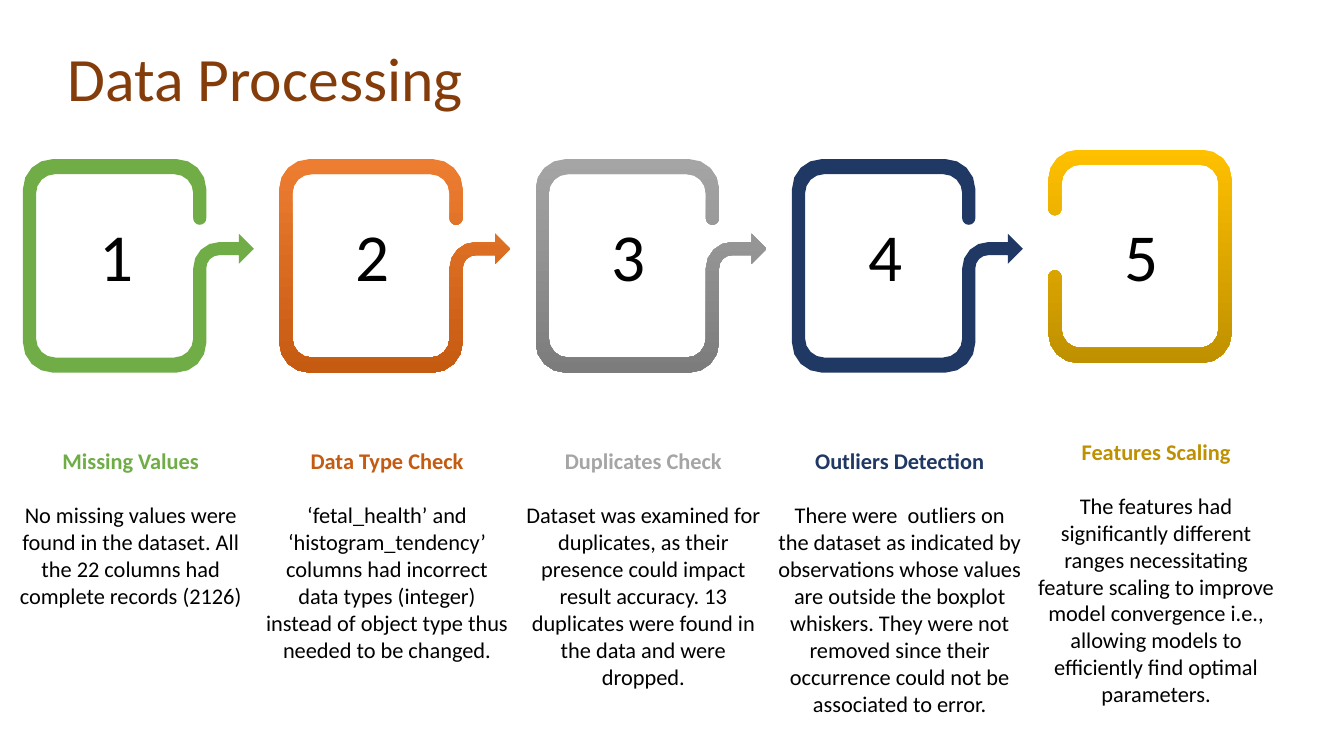
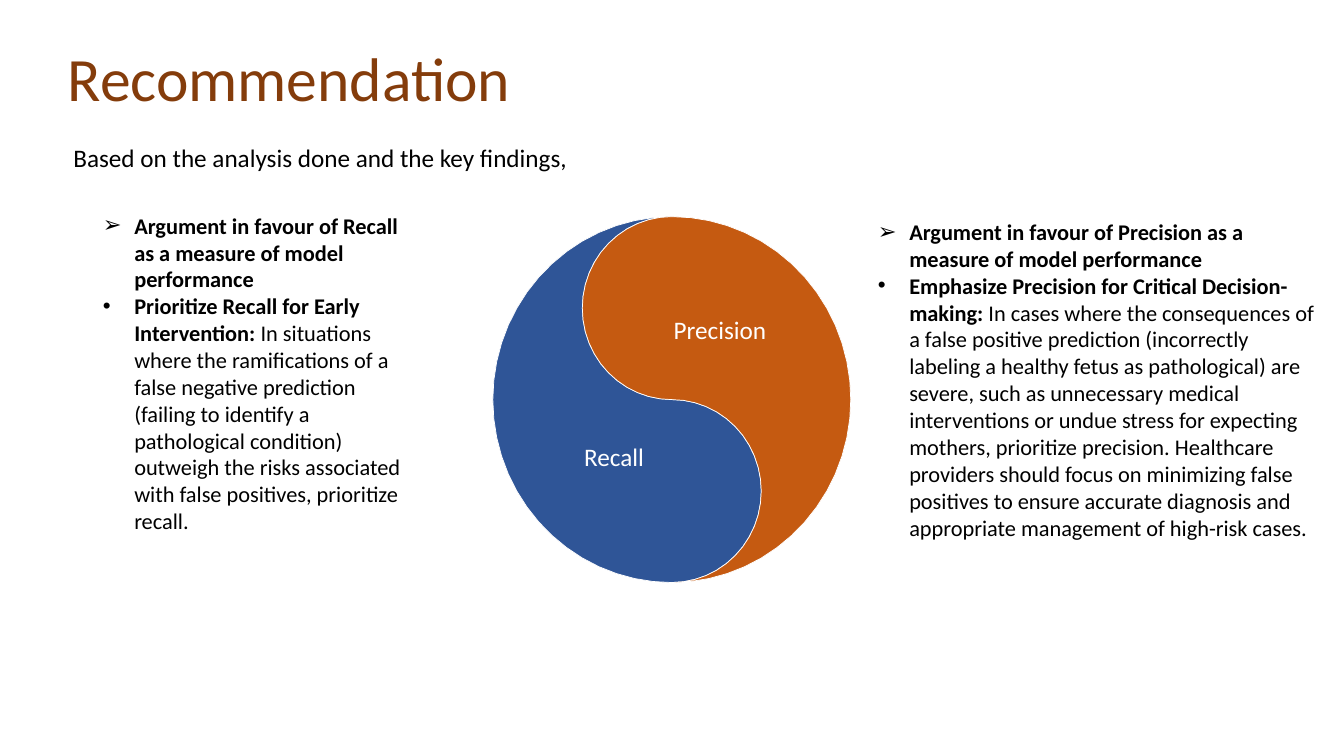
from math import cos, radians, sin

from lxml import etree
from pptx import Presentation
from pptx.dml.color import RGBColor
from pptx.enum import text
from pptx.oxml.ns import qn
from pptx.util import Cm, Pt

FONT = "Calibri"
BLACK = RGBColor(0x00, 0x00, 0x00)
WHITE = RGBColor(0xFF, 0xFF, 0xFF)
BROWN = RGBColor(0x84, 0x3C, 0x0B)
GREEN = RGBColor(0x70, 0xAD, 0x47)
ORANGE = RGBColor(0xED, 0x7D, 0x31)
DARK_ORANGE = RGBColor(0xC5, 0x5A, 0x11)
GRAY = RGBColor(0xA5, 0xA5, 0xA5)
DARK_GRAY = RGBColor(0x7C, 0x7C, 0x7C)
NAVY = RGBColor(0x20, 0x38, 0x64)
BLUE = RGBColor(0x2F, 0x55, 0x97)
GOLD = RGBColor(0xFF, 0xC0, 0x00)
DARK_GOLD = RGBColor(0xBF, 0x90, 0x00)

TITLE_ONLY, TWO_CONTENT = 5, 3

FRAME_WIDTH, FRAME_HEIGHT = 4.62, 5.38
SIDE, EDGE = 0.33, 0.38
OUTER_RADIUS, INNER_RADIUS = 0.75, 0.48
STEP_LEFT, STEP_TOP, STEP_PITCH = 0.58, 4.01, 6.46
LAST_STEP_RISE = 0.24

STEPS = [
    ("Missing Values", GREEN, (GREEN,),
     "No missing values were found in the dataset. All the 22 columns had "
     "complete records (2126)"),
    ("Data Type Check", DARK_ORANGE, (ORANGE, DARK_ORANGE),
     "‘fetal_health’ and ‘histogram_tendency’ columns had incorrect data types "
     "(integer) instead of object type thus needed to be changed."),
    ("Duplicates Check", GRAY, (GRAY, DARK_GRAY),
     "Dataset was examined for duplicates, as their presence could impact "
     "result accuracy. 13 duplicates were found in the data and were dropped."),
    ("Outliers Detection", NAVY, (NAVY,),
     "There were  outliers on the dataset as indicated by observations whose "
     "values are outside the boxplot whiskers. They were not removed since "
     "their occurrence could not be associated to error."),
    ("Features Scaling", DARK_GOLD, (GOLD, DARK_GOLD),
     "The features had significantly different ranges necessitating feature "
     "scaling to improve model convergence i.e., allowing models to "
     "efficiently find optimal parameters."),
]

RECALL_ARGUMENT = (
    "Argument in favour of Recall as a measure of model performance",
    "Prioritize Recall for Early Intervention: ",
    "In situations where the ramifications of a false negative prediction "
    "(failing to identify a pathological condition) outweigh the risks "
    "associated with false positives, prioritize recall.",
)
PRECISION_ARGUMENT = (
    "Argument in favour of Precision as a measure of model performance",
    "Emphasize Precision for Critical Decision-making: ",
    "In cases where the consequences of a false positive prediction "
    "(incorrectly labeling a healthy fetus as pathological) are severe, such "
    "as unnecessary medical interventions or undue stress for expecting "
    "mothers, prioritize precision. Healthcare providers should focus on "
    "minimizing false positives to ensure accurate diagnosis and appropriate "
    "management of high-risk cases.",
)


def style(paragraph, size, color, bold=None, align=text.PP_ALIGN.LEFT):
    paragraph.alignment = align
    font = paragraph.font
    font.name, font.size, font.bold = FONT, Pt(size), bold
    font.color.rgb = color


def place(shape, left, top, width, height):
    shape.left, shape.top = Cm(left), Cm(top)
    shape.width, shape.height = Cm(width), Cm(height)


def add_titled_slide(presentation, layout, title_text, title_width):
    slide = presentation.slides.add_slide(presentation.slide_layouts[layout])
    title = slide.shapes.title
    place(title, 1.45, 0.41, title_width, 3.28)
    frame = title.text_frame
    frame.text = title_text
    frame.vertical_anchor = text.MSO_ANCHOR.MIDDLE
    frame.auto_size = text.MSO_AUTO_SIZE.NONE
    frame.paragraphs[0].line_spacing = 0.9
    style(frame.paragraphs[0], 44, BROWN)
    return slide


def add_text(slide, left, top, width, height, content, size, color,
             align=text.PP_ALIGN.CENTER, side_margin=0.25):
    box = slide.shapes.add_textbox(Cm(left), Cm(top), Cm(width), Cm(height))
    frame = box.text_frame
    frame.word_wrap = True
    frame.margin_left = frame.margin_right = Cm(side_margin)
    frame.text = content
    style(frame.paragraphs[0], size, color, align=align)
    return frame


def arc(center_x, center_y, radius, start, stop, step=22.5):
    count = round(abs(stop - start) / step)
    angles = (radians(start + (stop - start) * i / count) for i in range(count + 1))
    return [(center_x + radius * cos(a), center_y + radius * sin(a)) for a in angles]


def add_outline(slide, left, top, points):
    placed = [(Cm(left + x), Cm(top + y)) for x, y in points]
    builder = slide.shapes.build_freeform(*placed[0])
    builder.add_line_segments(placed[1:], close=True)
    shape = builder.convert_to_shape()
    shape.shadow.inherit = False
    return shape


def frame_points(last):
    right, bottom = FRAME_WIDTH - OUTER_RADIUS, FRAME_HEIGHT - OUTER_RADIUS
    inner_left, inner_top = SIDE + INNER_RADIUS, EDGE + INNER_RADIUS
    inner_right, inner_bottom = FRAME_WIDTH - inner_left, FRAME_HEIGHT - inner_top
    bar_center = FRAME_WIDTH - SIDE / 2
    if last:
        opening = arc(bar_center, 3.21, SIDE / 2, 180, 360)
    else:
        bend_x, bend_y = FRAME_WIDTH + SIDE, 2.75
        opening = (
            arc(bend_x, bend_y, 2 * SIDE, 180, 270)
            + [(5.44, 2.09), (5.44, 1.88), (5.82, 2.26), (5.44, 2.64), (5.44, 2.42)]
            + arc(bend_x, bend_y, SIDE, 270, 180)
        )
    points = (
        arc(OUTER_RADIUS, OUTER_RADIUS, OUTER_RADIUS, 180, 270)
        + arc(right, OUTER_RADIUS, OUTER_RADIUS, 270, 360)
        + arc(bar_center, 1.49, SIDE / 2, 0, 180)
        + arc(inner_right, inner_top, INNER_RADIUS, 0, -90)
        + arc(inner_left, inner_top, INNER_RADIUS, 270, 180)
        + arc(inner_left, inner_bottom, INNER_RADIUS, 180, 90)
        + arc(inner_right, inner_bottom, INNER_RADIUS, 90, 0)
        + opening
        + arc(right, bottom, OUTER_RADIUS, 0, 90)
        + arc(OUTER_RADIUS, bottom, OUTER_RADIUS, 90, 180)
    )
    return [(FRAME_WIDTH - x, y) for x, y in points] if last else points


def add_step(slide, left, top, number, step, last):
    heading, heading_color, fill_colors, body = step
    rise = LAST_STEP_RISE if last else 0
    shape = add_outline(slide, left, top - rise, frame_points(last))
    shape.line.fill.background()
    if len(fill_colors) == 1:
        shape.fill.solid()
        shape.fill.fore_color.rgb = fill_colors[0]
    else:
        shape.fill.gradient()
        shape.fill.gradient_angle = 270
        for stop, color in zip(shape.fill.gradient_stops, fill_colors):
            stop.color.rgb = color

    number_frame = add_text(slide, left + 1.8, top + 1.37, 1.1, 2.06,
                            str(number), 48, BLACK, side_margin=0)
    number_frame.margin_top = number_frame.margin_bottom = 0
    number_frame.vertical_anchor = text.MSO_ANCHOR.MIDDLE

    frame = add_text(slide, left - 0.36, top + 7.14 - rise, 6.15, 7.08,
                     heading, 16, heading_color, side_margin=0)
    frame.paragraphs[0].font.bold = True
    paragraph = frame.add_paragraph()
    paragraph.text = body
    paragraph.space_before = Pt(19.5)
    style(paragraph, 16, BLACK, align=text.PP_ALIGN.CENTER)


def add_bullet(paragraph, character):
    properties = paragraph._p.get_or_add_pPr()
    properties.set("marL", str(Cm(0.79)))
    properties.set("indent", str(-Cm(0.79)))
    etree.SubElement(properties, qn("a:buFont")).set("typeface", "Arial")
    etree.SubElement(properties, qn("a:buChar")).set("char", character)


def fill_argument(placeholder, left, top, width, height, argument):
    claim, lead, explanation = argument
    place(placeholder, left, top, width, height)
    frame = placeholder.text_frame
    frame.auto_size = text.MSO_AUTO_SIZE.NONE
    first, second = frame.paragraphs[0], frame.add_paragraph()
    for paragraph, character in ((first, "➢"), (second, "•")):
        add_bullet(paragraph, character)
        paragraph.space_before = Pt(0)
        style(paragraph, 16, BLACK)
    first.font.bold = True
    first.add_run().text = claim
    for content, bold in ((lead, True), (explanation, False)):
        run = second.add_run()
        run.text = content
        run.font.bold = bold


def add_balance(slide, left, top, width, height):
    half = (arc(0, -0.5, 0.5, 270, 90, 7.5) + arc(0, 0.5, 0.5, -90, 90, 7.5)
            + arc(0, 0, 1, 90, 270, 6))
    for sign, color in ((1, BLUE), (-1, DARK_ORANGE)):
        points = [((1 + sign * x) * width / 2, (1 + sign * y) * height / 2)
                  for x, y in half]
        shape = add_outline(slide, left, top, points)
        shape.fill.solid()
        shape.fill.fore_color.rgb = color
        shape.line.color.rgb = WHITE
        shape.line.width = Pt(0.5)
    for label, x, y in (("Recall", 0.86, 5.54), ("Precision", 3.53, 2.34)):
        add_text(slide, left + x, top + y, 4.39, 1.02, label, 18, WHITE)


def build_processing(presentation):
    slide = add_titled_slide(presentation, TITLE_ONLY, "Data Processing", 14.4)
    for index, step in enumerate(STEPS):
        add_step(slide, STEP_LEFT + index * STEP_PITCH, STEP_TOP, index + 1,
                 step, index == len(STEPS) - 1)


def build_recommendation(presentation):
    slide = add_titled_slide(presentation, TWO_CONTENT, "Recommendation", 24.54)
    add_text(slide, 1.6, 3.45, 28.7, 1.8,
             "Based on the analysis done and the key findings,", 18, BLACK,
             align=text.PP_ALIGN.LEFT)
    fill_argument(slide.placeholders[1], 2.34, 5.21, 8.36, 8.46, RECALL_ARGUMENT)
    fill_argument(slide.placeholders[2], 21.87, 5.37, 11.56, 8.46, PRECISION_ARGUMENT)
    add_balance(slide, 12.42, 5.46, 9.02, 9.22)


def main():
    presentation = Presentation()
    presentation.slide_width, presentation.slide_height = Cm(33.87), Cm(19.05)
    build_processing(presentation)
    build_recommendation(presentation)
    presentation.save("out.pptx")


if __name__ == "__main__":
    main()
